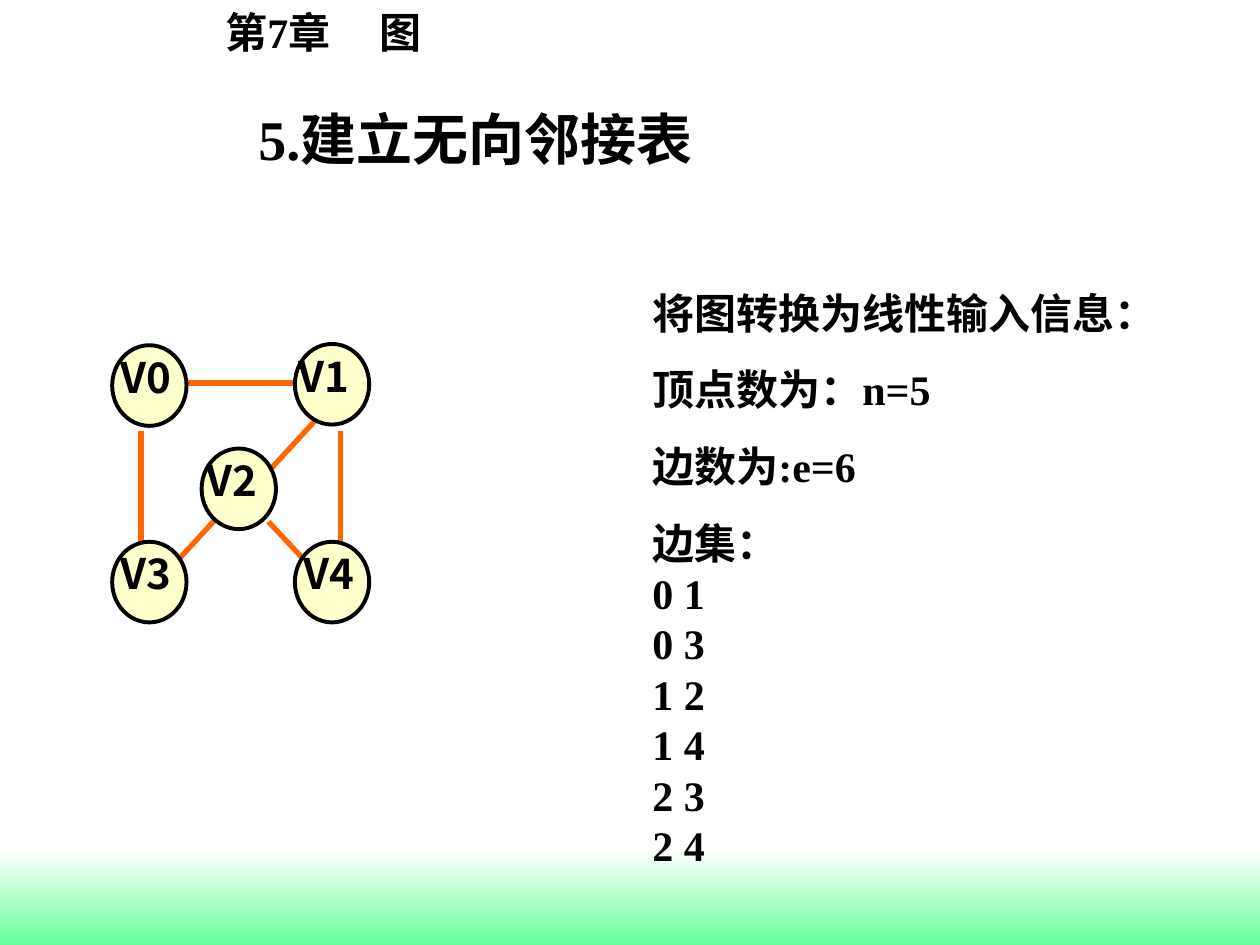
import pptx
import pptx.dml.color
import pptx.enum.shapes
import pptx.enum.text
import pptx.oxml.ns
import pptx.util
from dataclasses import dataclass
from lxml import etree

Inches = pptx.util.Inches
Pt = pptx.util.Pt
RGB = pptx.dml.color.RGBColor.from_string
qn = pptx.oxml.ns.qn


@dataclass(frozen=True)
class Theme:
    ink: str = "000000"
    edge: str = "FF6600"
    vertex: str = "FFFFCC"
    band_top: str = "FFFFFF"
    band_bottom: str = "66FF99"
    serif: str = "Times New Roman"
    sans: str = "Noto Sans CJK SC"
    title: int = 32
    body: int = 24


theme = Theme()


def add_text(shapes, box, lines, size=theme.body, font=theme.serif, gaps=(), tab=None, **frame):
    """Add a text box; gaps gives the space before each line, tab a tab stop in inches."""
    sp = shapes.add_textbox(*map(Inches, box))
    tf = sp.text_frame
    for name, value in {"word_wrap": True, **frame}.items():
        setattr(tf, name, value)
    for i, line in enumerate(lines):
        p = tf.paragraphs[0] if i == 0 else tf.add_paragraph()
        if i < len(gaps):
            p.space_before = Pt(gaps[i])
        if tab:
            tabs = etree.SubElement(p._p.get_or_add_pPr(), qn("a:tabLst"))
            etree.SubElement(tabs, qn("a:tab"), pos=str(Inches(tab)), algn="l")
        r = p.add_run()
        r.text = line
        for name, value in {"size": Pt(size), "bold": True, "name": font}.items():
            setattr(r.font, name, value)
        r.font.color.rgb = RGB(theme.ink)
        etree.SubElement(r._r.get_or_add_rPr(), qn("a:ea"), typeface=theme.sans)
    return tf


prs = pptx.Presentation()
prs.slide_width, prs.slide_height = Inches(10), Inches(7.5)
s = prs.slides.add_slide(prs.slide_layouts[6])

# Green band along the bottom
band = s.shapes.add_shape(pptx.enum.shapes.MSO_SHAPE.RECTANGLE,
                          Inches(0), Inches(6.75), Inches(10), Inches(0.75))
band.shadow.inherit = False
band.line.fill.background()
band.fill.gradient()
band.fill.gradient_angle = 270
for stop, color in zip(band.fill.gradient_stops, (theme.band_top, theme.band_bottom)):
    stop.color.rgb = RGB(color)

# Chapter and title
add_text(s.shapes, (1.69, 0, 1.83, 0.5), ["第7章\t图"], tab=1.22)
title = add_text(s.shapes, (0.58, 0.78, 6.39, 1.25), ["5.建立无向邻接表"], theme.title)
title.paragraphs[0].alignment = pptx.enum.text.PP_ALIGN.CENTER

# Undirected graph: edges behind vertices
graph = s.shapes.add_group_shape().shapes
edges = [
    (1.12, 3.42, 1.12, 4.32),
    (1.46, 3.04, 2.43, 3.04),
    (2.7, 3.42, 2.7, 4.32),
    (1.74, 4.09, 1.39, 4.47),
    (2.5, 3.34, 2.15, 3.72),
    (2.13, 4.14, 2.43, 4.46),
]
for ends in edges:
    edge = graph.add_connector(pptx.enum.shapes.MSO_CONNECTOR.STRAIGHT, *map(Inches, ends))
    edge.line.color.rgb = RGB(theme.edge)
    edge.line.width = Pt(3)
    etree.SubElement(edge._element.spPr, qn("a:effectLst"))

# Vertex name: left, top, left edge of its label
vertices = {
    "V0": (0.89, 2.74, 0.83),
    "V4": (2.34, 4.3, 2.28),
    "V3": (0.89, 4.3, 0.83),
    "V1": (2.34, 2.73, 2.24),
    "V2": (1.6, 3.56, 1.51),
}
for name, (left, top, label_left) in vertices.items():
    sp = graph.add_shape(pptx.enum.shapes.MSO_SHAPE.OVAL,
                         *map(Inches, (left, top, 0.59, 0.64)))
    sp.shadow.inherit = False
    sp.fill.solid()
    sp.fill.fore_color.rgb = RGB(theme.vertex)
    sp.line.color.rgb = RGB(theme.ink)
    sp.line.width = Pt(2.25)
    add_text(graph, (label_left, top, 0.82, 0.5), [name], font=theme.sans,
             margin_left=Inches(0.13))

# Linear input form of the graph
facts = ["将图转换为线性输入信息：", "顶点数为：n=5", "边数为:e=6", "边集："]
pairs = ["0 1", "0 3", "1 2", "1 4", "2 3", "2 4"]
add_text(s.shapes, (5.08, 2.23, 4.33, 4.73), facts + pairs, gaps=(0, 15, 15, 15))

prs.save("out.pptx")
